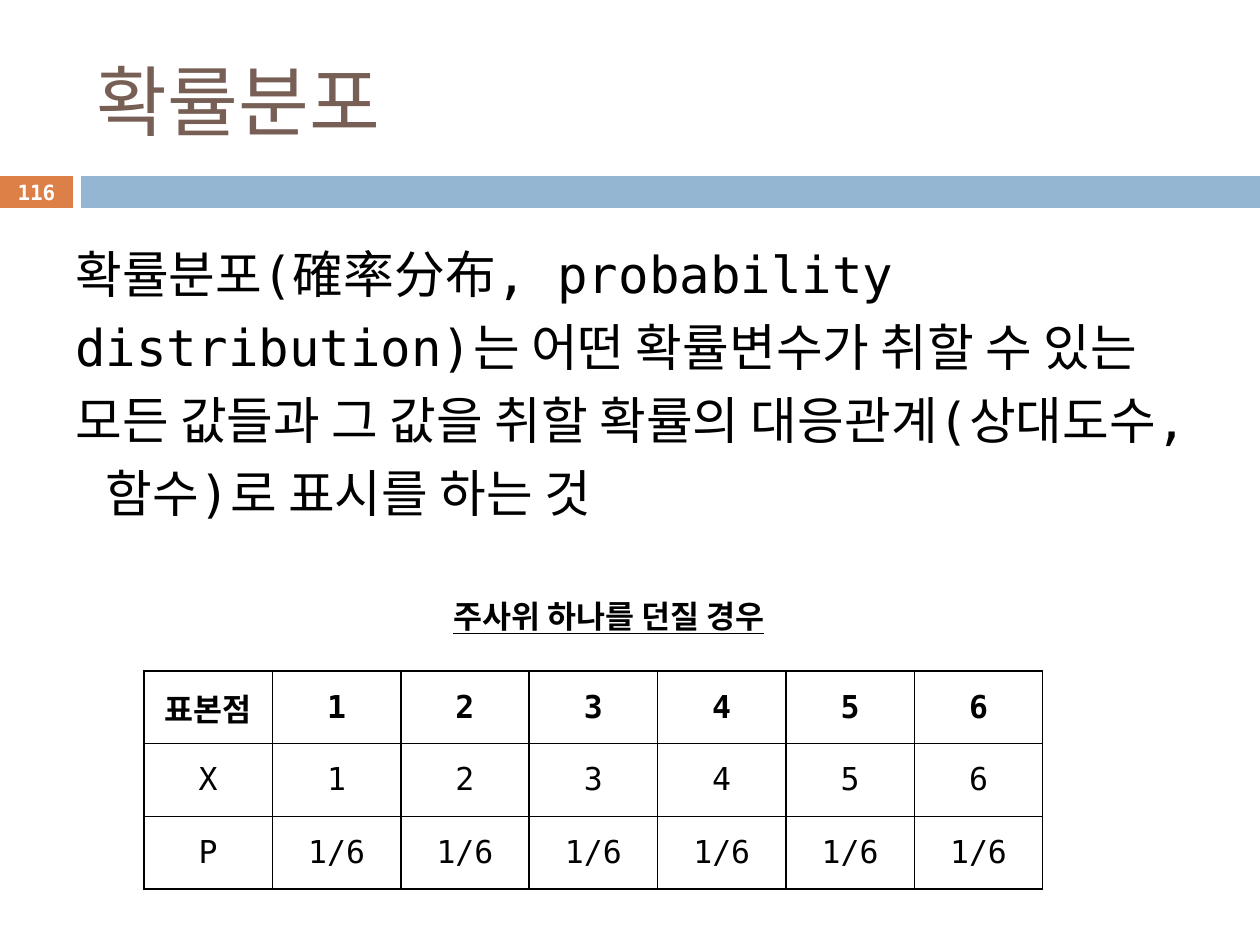
from lxml.etree import SubElement
from pptx import Presentation
from pptx.dml.color import RGBColor
from pptx.enum.shapes import MSO_SHAPE
from pptx.enum.text import MSO_ANCHOR, PP_ALIGN
from pptx.oxml.ns import qn
from pptx.util import Emu, Pt

FONT = "DejaVu Sans Mono"
BLACK = RGBColor(0x00, 0x00, 0x00)
WHITE = RGBColor(0xFF, 0xFF, 0xFF)
BROWN = RGBColor(0x77, 0x5F, 0x55)
ORANGE = RGBColor(0xDD, 0x80, 0x47)
BLUE = RGBColor(0x94, 0xB6, 0xD2)

DEFINITION = (
    "확률분포(確率分布, probability distribution)는 어떤 확률변수가 취할 수 있는 "
    "모든 값들과 그 값을 취할 확률의 대응관계(상대도수, 함수)로 표시를 하는 것"
)
CAPTION = "주사위 하나를 던질 경우"
FACES = [str(face) for face in range(1, 7)]
DISTRIBUTION = [["표본점"] + FACES, ["X"] + FACES, ["P"] + ["1/6"] * 6]


def px(length):
    return Emu(round(length * 914400 / 126))


def write(frame, text, size, color, bold=False, align=PP_ALIGN.LEFT):
    frame.text = text
    frame.word_wrap = True
    para = frame.paragraphs[0]
    para.alignment = align
    font = para.runs[0].font
    font.name = FONT
    font.size = Pt(size)
    font.bold = bold
    font.color.rgb = color
    return para


def add_text(page, box, text, size, color, **style):
    frame = page.shapes.add_textbox(*map(px, box)).text_frame
    return write(frame, text, size, color, **style)


def add_bar(page, box, color):
    bar = page.shapes.add_shape(MSO_SHAPE.RECTANGLE, *map(px, box))
    bar.shadow.inherit = False
    bar.fill.solid()
    bar.fill.fore_color.rgb = color
    bar.line.fill.background()
    return bar


def place_title(page, box):
    title = page.shapes.title
    title.left, title.top, title.width, title.height = map(px, box)
    write(title.text_frame, "확률분포", 44, BROWN)
    title.text_frame.vertical_anchor = MSO_ANCHOR.MIDDLE


def add_number_band(page, box, number):
    left, top, width, height = box
    tab_width, gap = 73, 8
    tab = add_bar(page, (left, top, tab_width, height), ORANGE)
    frame = tab.text_frame
    frame.margin_left = frame.margin_right = 0
    frame.margin_top = frame.margin_bottom = 0
    frame.vertical_anchor = MSO_ANCHOR.MIDDLE
    write(frame, number, 12, WHITE, bold=True, align=PP_ALIGN.CENTER)
    offset = tab_width + gap
    add_bar(page, (left + offset, top, width - offset, height), BLUE)


def add_definition(page, box):
    para = add_text(page, box, DEFINITION, 29, BLACK)
    para.line_spacing = 1.2


def add_caption(page, box):
    para = add_text(page, box, CAPTION, 18, BLACK, bold=True)
    para.runs[0].font.underline = True


def set_borders(cell):
    properties = cell._tc.get_or_add_tcPr()
    for position, side in enumerate(("a:lnL", "a:lnR", "a:lnT", "a:lnB")):
        line = properties.makeelement(qn(side), {"w": str(Pt(1))})
        fill = SubElement(line, qn("a:solidFill"))
        SubElement(fill, qn("a:srgbClr"), val=str(BLACK))
        properties.insert(position, line)


def add_distribution(page, box, rows):
    shape = page.shapes.add_table(len(rows), len(rows[0]), *map(px, box))
    table = shape.table
    table.horz_banding = False
    for column in table.columns:
        column.width = px(box[2] / len(rows[0]))
    for row in table.rows:
        row.height = px(box[3] / len(rows))
    for row_index, values in enumerate(rows):
        for column_index, value in enumerate(values):
            cell = table.cell(row_index, column_index)
            cell.fill.solid()
            cell.fill.fore_color.rgb = WHITE
            cell.vertical_anchor = MSO_ANCHOR.MIDDLE
            write(cell.text_frame, value, 18, BLACK,
                  bold=row_index == 0, align=PP_ALIGN.CENTER)
            set_borders(cell)


def main():
    deck = Presentation()
    deck.slide_width, deck.slide_height = px(1260), px(945)
    page = deck.slides.add_slide(deck.slide_layouts[5])
    place_title(page, (84, 32, 1124, 136))
    add_number_band(page, (0, 176, 1260, 32), "116")
    add_definition(page, (63, 224, 1134, 377))
    add_distribution(page, (144, 671, 899, 218), DISTRIBUTION)
    add_caption(page, (441, 591, 377, 50))
    deck.save("out.pptx")


if __name__ == "__main__":
    main()
